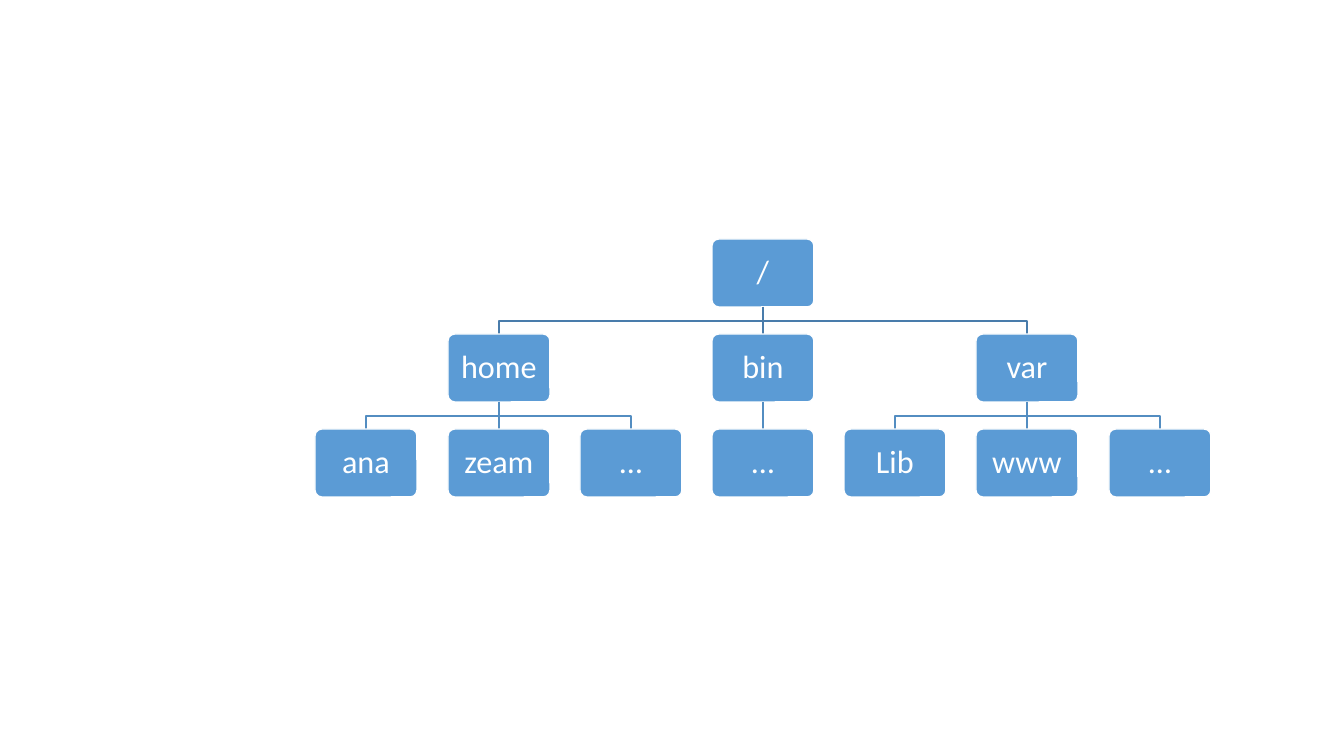
"""Build a slide with a directory tree of three levels."""
from lxml.etree import SubElement
from pptx import Presentation
from pptx.dml.color import RGBColor
from pptx.enum.shapes import MSO_CONNECTOR, MSO_SHAPE
from pptx.enum.text import MSO_ANCHOR, PP_ALIGN
from pptx.oxml.ns import qn
from pptx.util import Pt

PX = 914400 / 100.8
HEX = {"node": "5B9BD5", "white": "FFFFFF", "upper": "497CAB", "lower": "538DC1"}
WIDE, HIGH = 102, 68
MID, STEP = 763, 132.2
TOP, DROP = 239, 95

deck = Presentation()
deck.slide_width, deck.slide_height = round(1344 * PX), round(756 * PX)
slide = deck.slides.add_slide(deck.slide_layouts[6])
shapes = slide.shapes


def emu(*pixels):
    return [round(value * PX) for value in pixels]


def write(shape, text, size=23, font="Calibri", color="white", inset=10):
    frame = shape.text_frame
    frame.word_wrap = True
    frame.vertical_anchor = MSO_ANCHOR.MIDDLE
    frame.margin_left, frame.margin_right = emu(inset, inset)
    frame.margin_top, frame.margin_bottom = emu(inset, inset)
    para = frame.paragraphs[0]
    para.alignment = PP_ALIGN.CENTER
    para.line_spacing = 0.9
    run = para.add_run()
    run.text = text
    run.font.size, run.font.name = Pt(size), font
    run.font.color.rgb = RGBColor.from_string(HEX[color])


# Each node: text, level, column from the middle, column of its parent
nodes = [
    ("/", 0, 0, None),
    ("home", 1, -2, 0),
    ("ana", 2, -3, -2),
    ("zeam", 2, -2, -2),
    ("…", 2, -1, -2),
    ("bin", 1, 0, 0),
    ("…", 2, 0, 0),
    ("var", 1, 2, 0),
    ("Lib", 2, 1, 2),
    ("www", 2, 2, 2),
    ("…", 2, 3, 2),
]

for text, level, col, parent in nodes:
    x, y = round(MID + col * STEP), TOP + level * DROP
    if parent is not None:
        start, base = round(MID + parent * STEP), y - DROP + HIGH
        if col == parent:
            link = shapes.add_connector(MSO_CONNECTOR.STRAIGHT, *emu(x, base, x, y))
            SubElement(link._element.spPr, qn("a:effectLst"))
        else:
            bend = y - 13
            path = shapes.build_freeform(start, base, scale=PX)
            path.add_line_segments([(start, bend), (x, bend), (x, y)], close=False)
            link = path.convert_to_shape()
            link.fill.background()
            link.shadow.inherit = False
        shade = HEX["upper" if level == 1 else "lower"]
        link.line.color.rgb = RGBColor.from_string(shade)
        link.line.width = Pt(1)

    box = shapes.add_shape(MSO_SHAPE.ROUNDED_RECTANGLE, *emu(x - WIDE / 2, y, WIDE, HIGH))
    box.adjustments[0] = 0.1
    box.shadow.inherit = False
    box.fill.solid()
    box.fill.fore_color.rgb = RGBColor.from_string(HEX["node"])
    box.line.color.rgb = RGBColor.from_string(HEX["white"])
    box.line.width = Pt(1)
    write(box, text)

deck.save("out.pptx")
